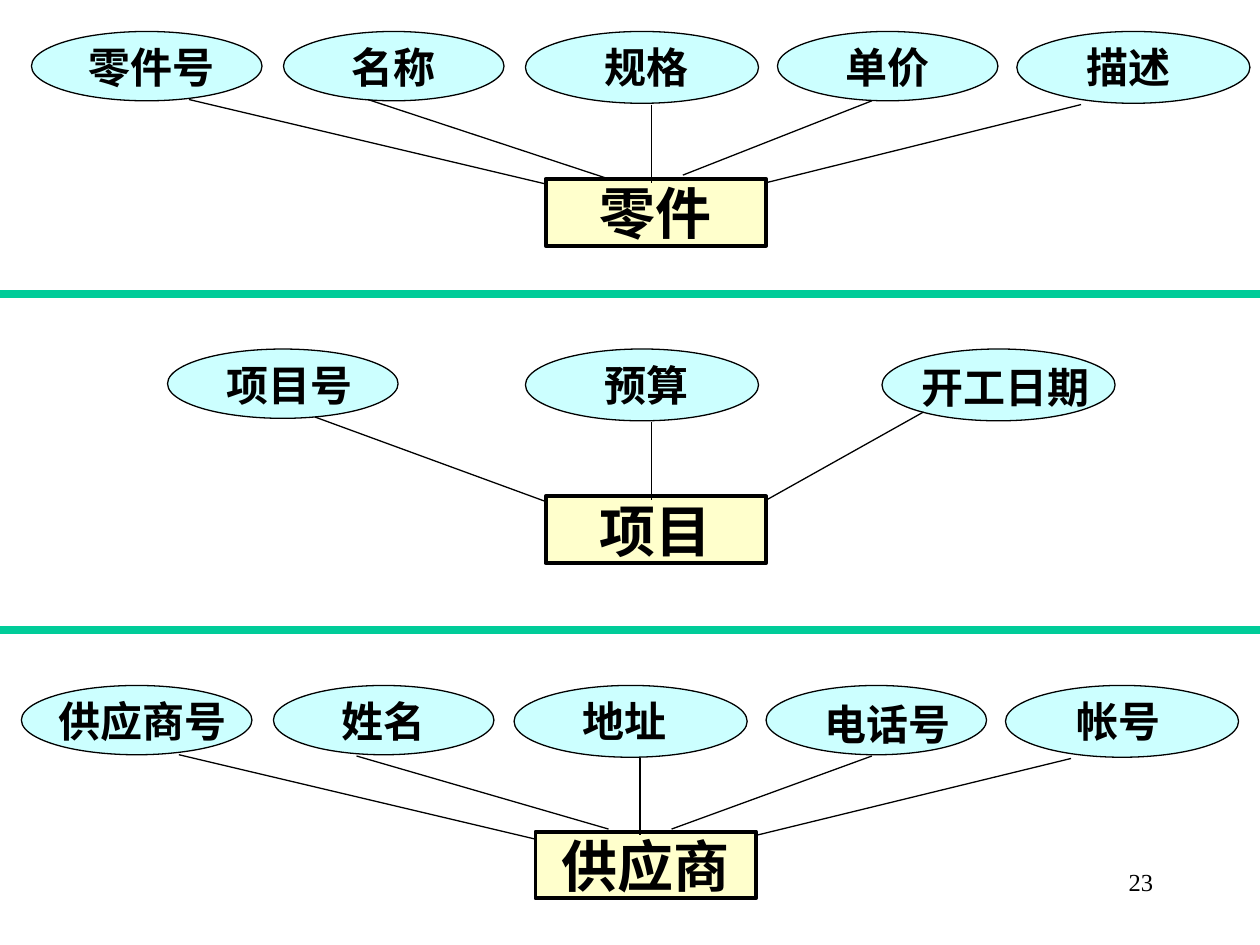
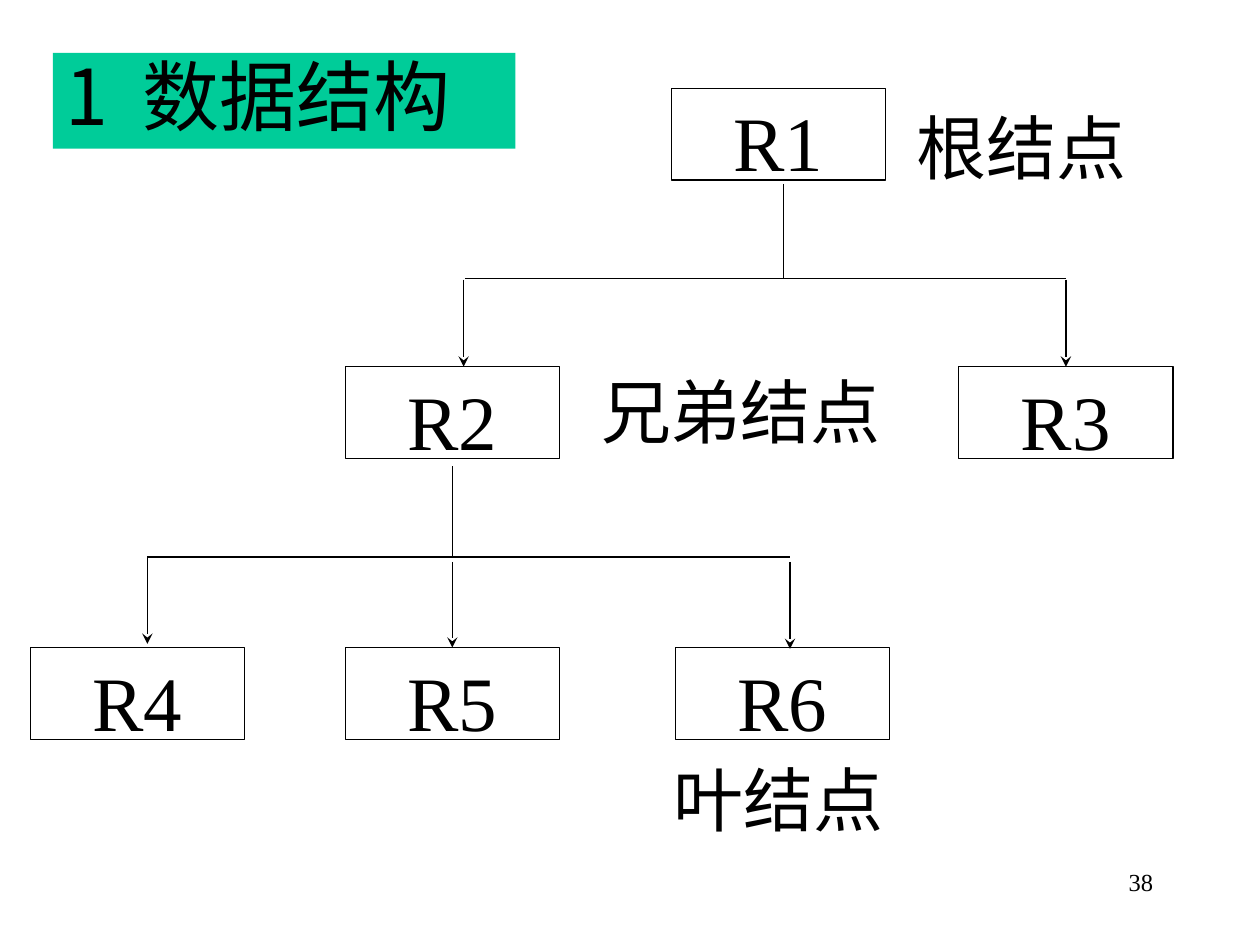
from lxml.etree import SubElement
from pptx import Presentation
from pptx.dml.color import RGBColor
from pptx.enum.shapes import MSO_CONNECTOR, MSO_SHAPE
from pptx.enum.text import MSO_ANCHOR, PP_ALIGN
from pptx.oxml.ns import qn
from pptx.util import Emu, Pt

EMU_PER_PX = 9144  # 100 px to the inch
BLACK, GREEN, CREAM, AQUA = "000000", "00CC99", "FFFFCC", "CCFFFF"
LATIN_FONT, CHINESE_FONT = "Times New Roman", "Noto Sans CJK SC"
TOP = 0  # connection site of a rectangle

NUMBER_STYLE = {"size": Pt(14)}
ENTITY_STYLE = {"size": Pt(32), "bold": True}
ATTRIBUTE_STYLE = {"size": Pt(24), "bold": True}
NODE_STYLE = {"size": Pt(44)}
CAPTION_STYLE = {"size": Pt(40)}
TITLE_STYLE = {"size": Pt(44), "name": CHINESE_FONT}

# Entity: name, box left, box top, attributes top, attributes.
# Attribute: name, ellipse left, width, label left, top offset, width, line start, line end.
ENTITIES = [
    ("零件", 433, 142, 25, [
        ("零件号", 25, 183, 58, 8, 125, (150, 79), (433, 146)),
        ("名称", 225, 175, 275, 8, 75, (292, 79), (483, 142)),
        ("规格", 417, 185, 442, 8, 142, (517, 83), (517, 145)),
        ("单价", 617, 175, 667, 8, 75, (692, 80), (542, 139)),
        ("描述", 807, 185, 825, 8, 142, (858, 83), (608, 145)),
    ]),
    ("项目", 433, 394, 277, [
        ("项目号", 133, 183, 167, 8, 125, (250, 331), (433, 398)),
        ("预算", 417, 185, 442, 8, 142, (517, 335), (517, 397)),
        ("开工日期", 700, 185, 727, 10, 142, (733, 327), (608, 397)),
    ]),
    ("供应商", 425, 660, 544, [
        ("供应商号", 17, 183, 42, 8, 142, (142, 599), (425, 666)),
        ("姓名", 217, 175, 267, 8, 75, (283, 600), (483, 658)),
        ("地址", 408, 185, 425, 8, 142, (508, 602), (508, 663)),
        ("电话号", 608, 175, 650, 10, 108, (692, 600), (533, 658)),
        ("帐号", 798, 185, 817, 8, 142, (850, 602), (600, 663)),
    ]),
]
DIVIDER_TOPS = [233, 500]

NODES = {"R1": (533, 70), "R3": (761, 291), "R2": (274, 291),
         "R4": (24, 514), "R5": (274, 514), "R6": (536, 514)}
BRANCHES = [
    ((117, 442), (627, 442)), ((369, 221), (846, 221)),
    ((622, 146), (622, 221)), ((359, 370), (359, 442)),
]
# Arrow: start, end, node joined at the middle of its top side.
ARROWS = [
    ((117, 442), (117, 511), None), ((359, 446), (359, 515), "R5"),
    ((627, 446), (627, 515), None), ((846, 222), (846, 291), "R3"),
    ((368, 222), (368, 291), None),
]
CAPTIONS = [("兄弟结点", 467, 292, 242), ("叶结点", 533, 600, 170), ("根结点", 726, 83, 170)]


def px(*lengths):
    return [Emu(length * EMU_PER_PX) for length in lengths]


def color(hex_value):
    return RGBColor.from_string(hex_value)


class Deck:
    """Holds the presentation, its shared style and the current slide."""

    def __init__(self):
        self.presentation = Presentation()
        self.presentation.slide_width, self.presentation.slide_height = px(1000, 750)
        self.slide = None

    def new_slide(self, number):
        self.slide = self.presentation.slides.add_slide(self.presentation.slide_layouts[6])
        self.text((717, 683, 208, 50), number, NUMBER_STYLE, align=PP_ALIGN.RIGHT,
                  anchor=MSO_ANCHOR.TOP, insets=(10, 5, 10, 5))

    def fill_text(self, shape, text, style, align=PP_ALIGN.CENTER, anchor=MSO_ANCHOR.MIDDLE,
                  insets=(0, 0, 0, 0)):
        """Fill the shape with one paragraph and return that paragraph."""
        frame = shape.text_frame
        sides = ("margin_left", "margin_top", "margin_right", "margin_bottom")
        settings = dict(zip(sides, px(*insets)), word_wrap=True, vertical_anchor=anchor)
        for name, value in settings.items():
            setattr(frame, name, value)
        paragraph = frame.paragraphs[0]
        paragraph.alignment = align
        self.add_run(paragraph, text, style)
        return paragraph

    def add_run(self, paragraph, text, style):
        run = paragraph.add_run()
        run.text = text
        for name, value in {"name": LATIN_FONT, **style}.items():
            setattr(run.font, name, value)
        run.font.color.rgb = color(BLACK)
        SubElement(run._r.get_or_add_rPr(), qn("a:ea"), typeface=CHINESE_FONT)

    def text(self, box, text, style, **layout):
        self.fill_text(self.slide.shapes.add_textbox(*px(*box)), text, style, **layout)

    def shape(self, kind, box, fill=None, line_width=0.75):
        """Add a preset shape; a line width of 0 leaves the outline out."""
        shape = self.slide.shapes.add_shape(kind, *px(*box))
        shape.shadow.inherit = False
        if fill:
            shape.fill.solid()
            shape.fill.fore_color.rgb = color(fill)
        else:
            shape.fill.background()
        if line_width:
            shape.line.color.rgb = color(BLACK)
            shape.line.width = Pt(line_width)
        else:
            shape.line.fill.background()
        return shape

    def line(self, start, end, line_color=BLACK, width=0.75, arrow=False, target=None):
        connector = self.slide.shapes.add_connector(MSO_CONNECTOR.STRAIGHT, *px(*start, *end))
        connector.line.color.rgb = color(line_color)
        connector.line.width = Pt(width)
        properties = connector._element.spPr
        if arrow:
            SubElement(properties.find(qn("a:ln")), qn("a:tailEnd"), type="stealth")
        SubElement(properties, qn("a:effectLst"))
        if target is not None:
            connector.end_connect(target, TOP)

    def entity(self, name, left, top, attributes_top, attributes):
        """Draw an entity box with its attribute ellipses and their lines."""
        box = self.shape(MSO_SHAPE.RECTANGLE, (left, top, 175, 53), CREAM, 2.25)
        self.fill_text(box, name, ENTITY_STYLE)
        for label, x, width, label_x, label_offset, label_width, start, end in attributes:
            height = 57 if width == 185 else 55
            self.shape(MSO_SHAPE.OVAL, (x, attributes_top, width, height), AQUA)
            self.text((label_x, attributes_top + label_offset, label_width, 40),
                      label, ATTRIBUTE_STYLE)
            self.line(start, end)

    def node(self, name, left, top):
        box = self.shape(MSO_SHAPE.RECTANGLE, (left, top, 170, 73))
        self.fill_text(box, name, NODE_STYLE, insets=(0, 11, 0, 0))
        return box

    def title(self, number, text):
        band = self.shape(MSO_SHAPE.RECTANGLE, (42, 42, 367, 76), GREEN, line_width=0)
        paragraph = self.fill_text(band, f"{number} ", TITLE_STYLE, align=PP_ALIGN.LEFT,
                                   insets=(10, 5, 10, 5))
        paragraph.line_spacing = 0.9
        paragraph.runs[0]._r.get_or_add_rPr().set("spc", "500")
        self.add_run(paragraph, text, TITLE_STYLE)


def build_entities(deck):
    deck.new_slide("23")
    for entity in ENTITIES:
        deck.entity(*entity)
    for top in DIVIDER_TOPS:
        deck.line((0, top), (1000, top), GREEN, 4.5)


def build_tree(deck):
    deck.new_slide("38")
    boxes = {name: deck.node(name, *corner) for name, corner in NODES.items()}
    for start, end in BRANCHES:
        deck.line(start, end)
    for start, end, name in ARROWS:
        deck.line(start, end, arrow=True, target=boxes.get(name))
    for text, left, top, width in CAPTIONS:
        deck.text((left, top, width, 67), text, CAPTION_STYLE)
    deck.title("1", "数据结构")


def main():
    deck = Deck()
    build_entities(deck)
    build_tree(deck)
    deck.presentation.save("out.pptx")


if __name__ == "__main__":
    main()
